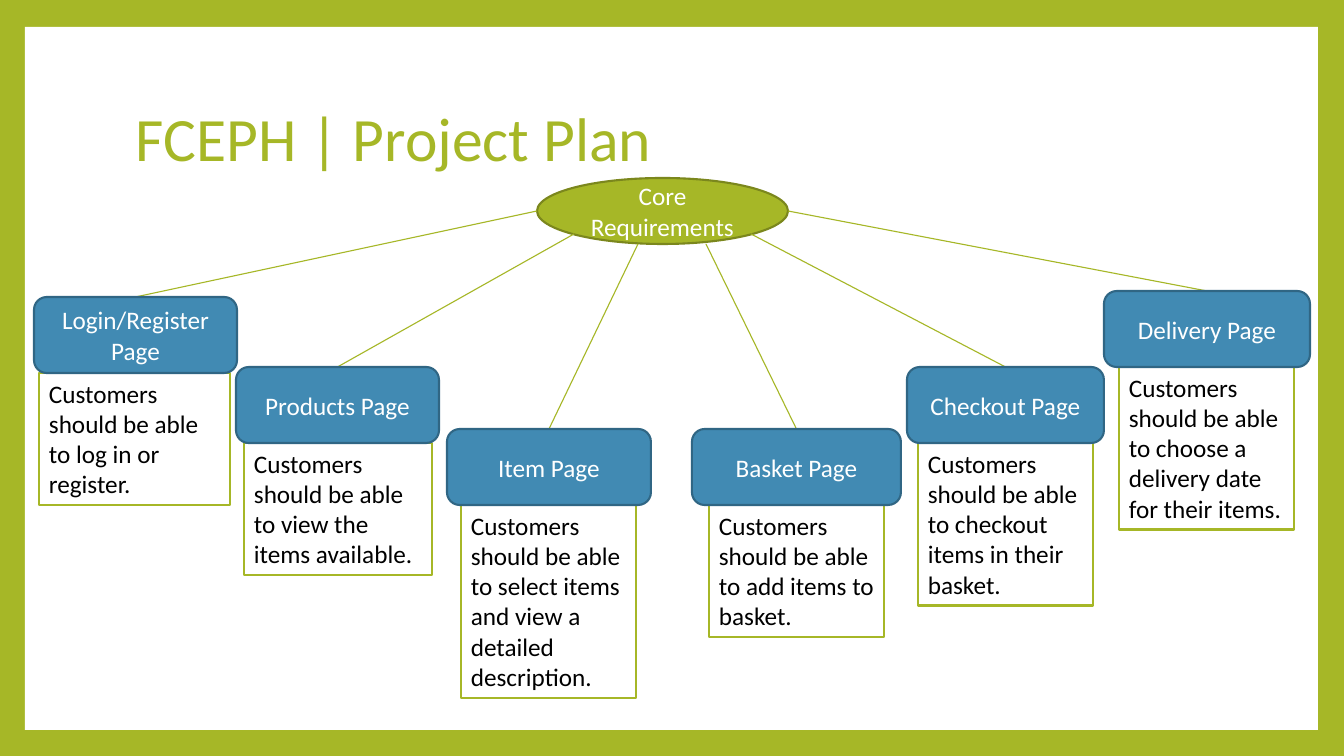
from pptx import Presentation
from pptx import util as u
from pptx.dml.color import RGBColor
from pptx.enum import shapes, text
from lxml import etree

GREEN = RGBColor(0xA6, 0xB7, 0x27)
DARK_GREEN = RGBColor(0x7B, 0x87, 0x1D)
BLUE = RGBColor(0x41, 0x8A, 0xB3)
DARK_BLUE = RGBColor(0x30, 0x66, 0x84)
WHITE = RGBColor(0xFF, 0xFF, 0xFF)
BLACK = RGBColor(0, 0, 0)
FONT = "Calibri"

TITLE = "FCEPH | Project Plan"
ROOT = "Core Requirements"
# fields: heading, requirement, heading left/top/width, body left/width, body lines, root anchor
CARDS = [
    ("Login/Register Page", "log in or register.", (34, 297, 203), (39, 191), 4, (537, 211)),
    ("Products Page", "view the items available.", (236, 367, 203), (244, 188), 4, (574, 234)),
    ("Item Page", "select items and view a detailed description.",
     (447, 429, 204), (461, 175), 6, (638, 244)),
    ("Basket Page", "add items to basket.", (692, 429, 209), (709, 175), 4, (706, 244)),
    ("Checkout Page", "checkout items in their basket.",
     (907, 367, 197), (918, 175), 5, (751, 234)),
    ("Delivery Page", "choose a delivery date for their items.",
     (1104, 291, 206), (1119, 175), 5, (788, 211)),
]
HEADING_HEIGHT = 76
BODY_PADDING = 10
LINE_HEIGHT = 30.5
SCALE = 914400 / 100.8


def px(*lengths):
    return [u.Emu(round(length * SCALE)) for length in lengths]


def write(shape, words, size=18, color=WHITE, align=text.PP_ALIGN.CENTER,
          anchor=text.MSO_ANCHOR.MIDDLE, spacing=None):
    frame = shape.text_frame
    frame.word_wrap = True
    frame.vertical_anchor = anchor
    para = frame.paragraphs[0]
    para.alignment = align
    para.line_spacing = spacing
    span = para.add_run()
    span.text = words
    span.font.name = FONT
    span.font.size = u.Pt(size)
    span.font.color.rgb = color


def add_box(parent, kind, frame, fill, line=None):
    box = parent.shapes.add_shape(kind, *px(*frame))
    box.shadow.inherit = False
    box.fill.solid()
    box.fill.fore_color.rgb = fill
    if line is None:
        box.line.fill.background()
    else:
        box.line.color.rgb = line
        box.line.width = u.Pt(1.5)
    return box


def add_link(page, start, end):
    link = page.shapes.add_connector(shapes.MSO_CONNECTOR.STRAIGHT, *px(*start, *end))
    link.line.color.rgb = GREEN
    link.line.width = u.Pt(0.79)
    namespace = "http://schemas.openxmlformats.org/drawingml/2006/main"
    etree.SubElement(link._element.spPr, f"{{{namespace}}}effectLst")


deck = Presentation()
deck.slide_width, deck.slide_height = px(1344, 756)
page = deck.slides.add_slide(deck.slide_layouts[6])
page.background.fill.solid()
page.background.fill.fore_color.rgb = GREEN
KIND = shapes.MSO_SHAPE

add_box(page, KIND.RECTANGLE, (25, 27, 1293, 703), WHITE)
title = page.shapes.add_textbox(*px(126, 67, 1089, 149))
write(title, TITLE, size=44, color=GREEN, align=text.PP_ALIGN.LEFT, spacing=0.9)
root = add_box(page, KIND.OVAL, (537, 178, 251, 66), GREEN, DARK_GREEN)
write(root, ROOT)

for _, _, (left, top, width), _, _, anchor in CARDS:
    add_link(page, anchor, (left + width / 2, top))

for heading, requirement, (left, top, width), (body_left, body_width), lines, _ in CARDS:
    card = page.shapes.add_group_shape()
    body_frame = (body_left, top + HEADING_HEIGHT, body_width, BODY_PADDING + lines * LINE_HEIGHT)
    body = add_box(card, KIND.RECTANGLE, body_frame, WHITE, GREEN)
    write(body, "Customers should be able to " + requirement, color=BLACK,
          align=text.PP_ALIGN.LEFT, anchor=text.MSO_ANCHOR.TOP)
    label = add_box(card, KIND.ROUNDED_RECTANGLE, (left, top, width, HEADING_HEIGHT),
                    BLUE, DARK_BLUE)
    write(label, heading)

deck.save("out.pptx")
